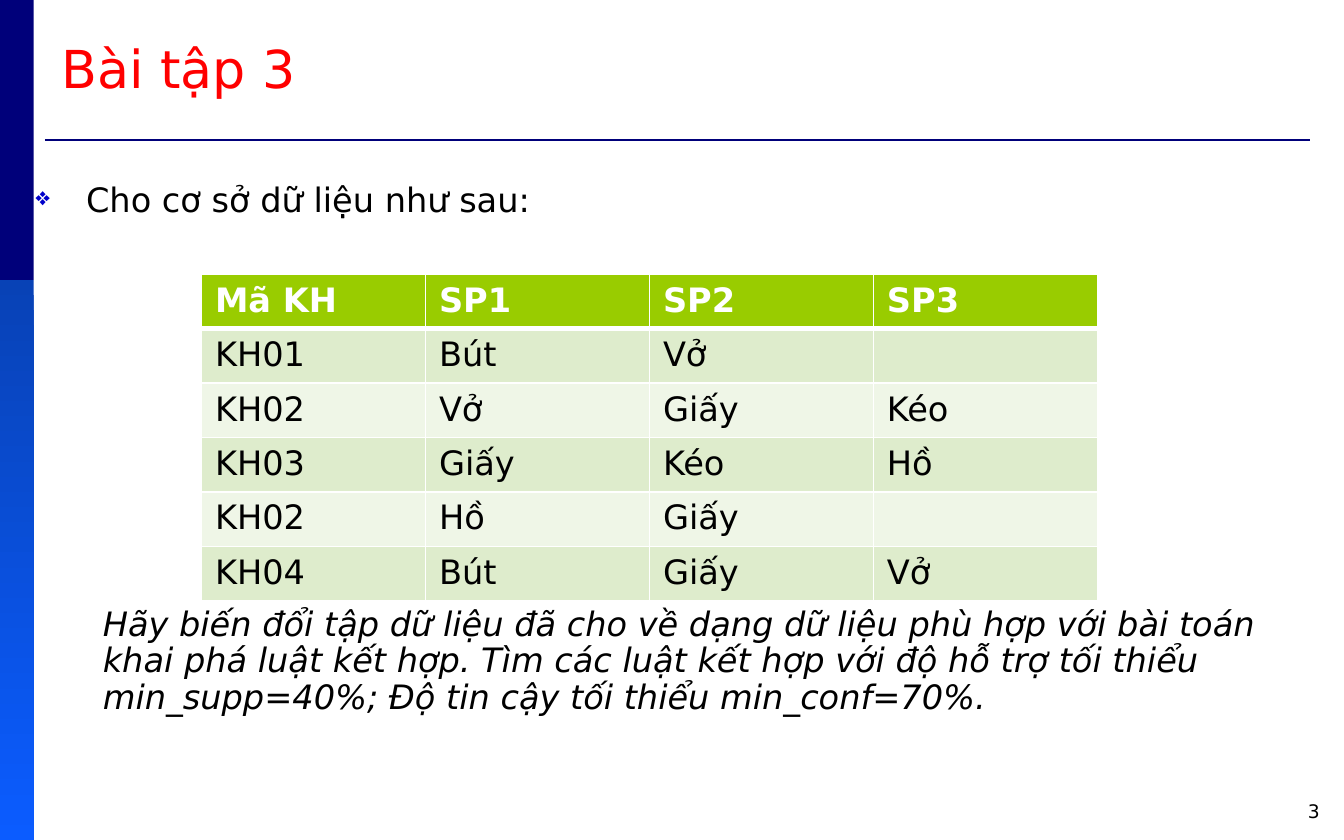
import pptx
import pptx.util
import pptx.dml.color
import pptx.enum.shapes
import pptx.enum.text
import pptx.oxml
import pptx.oxml.ns
import lxml.etree

Pt = pptx.util.Pt
FONT = "DejaVu Sans"
C = {
    "navy": "00007A", "deep": "0842B6", "bright": "0B5CFF", "bullet": "0000CA",
    "title": "FF0000", "text": "000000", "white": "FFFFFF",
    "header": "99CC00", "odd": "DEECCC", "even": "EFF6E7",
}
ROWS = [
    ["Mã KH", "SP1", "SP2", "SP3"],
    ["KH01", "Bút", "Vở", ""],
    ["KH02", "Vở", "Giấy", "Kéo"],
    ["KH03", "Giấy", "Kéo", "Hồ"],
    ["KH02", "Hồ", "Giấy", ""],
    ["KH04", "Bút", "Giấy", "Vở"],
]
TASK = ("Hãy biến đổi tập dữ liệu đã cho về dạng dữ liệu phù hợp với bài toán "
        "khai phá luật kết hợp. Tìm các luật kết hợp với độ hỗ trợ tối thiểu "
        "min_supp=40%; Độ tin cậy tối thiểu min_conf=70%.")


def rgb(name):
    return pptx.dml.color.RGBColor.from_string(C[name])


def add_sub(parent, tag, **attrs):
    return lxml.etree.SubElement(parent, pptx.oxml.ns.qn(tag), attrs)


def style(p, size, color="text", bold=False, italic=False):
    f = p.font
    f.name, f.size, f.bold, f.italic = FONT, Pt(size), bold, italic
    f.color.rgb = rgb(color)


def add_text(s, x, y, w, h, text):
    tf = s.shapes.add_textbox(Pt(x), Pt(y), Pt(w), Pt(h)).text_frame
    tf.word_wrap = True
    p = tf.paragraphs[0]
    p.text = text
    return tf, p


def add_sidebar(s, x, y, w, h):
    split = h / 3
    for top, height in ((y, split), (y + split, h - split)):
        sp = s.shapes.add_shape(pptx.enum.shapes.MSO_SHAPE.RECTANGLE,
                                Pt(x), Pt(top), Pt(w), Pt(height))
        sp.shadow.inherit = False
        sp.line.fill.background()
        if top == y:
            sp.fill.solid()
            sp.fill.fore_color.rgb = rgb("navy")
        else:
            sp.fill.gradient()
            sp.fill.gradient_angle = 270
            for stop, color, pos in zip(sp.fill.gradient_stops, ("deep", "bright"), (0, 1)):
                stop.color.rgb = rgb(color)
                stop.position = pos


def add_title(s, x, y, w, h):
    tf, p = add_text(s, x, y, w, h, "Bài tập 3")
    tf.vertical_anchor = pptx.enum.text.MSO_ANCHOR.BOTTOM
    tf.margin_left, tf.margin_bottom = Pt(15), Pt(2)
    style(p, 28, "title")
    rule_y = Pt(y + 77)
    line = s.shapes.add_connector(pptx.enum.shapes.MSO_CONNECTOR.STRAIGHT,
                                  Pt(x + 6), rule_y, Pt(x + 684), rule_y)
    line.line.color.rgb = rgb("navy")
    line.line.width = Pt(1.5)
    add_sub(line._element.spPr, "a:effectLst")


def add_intro(s, x, y, w, h):
    tf, p = add_text(s, x, y, w, h, "Cho cơ sở dữ liệu như sau:")
    p.line_spacing = 0.9
    pPr = p._p.get_or_add_pPr()
    pPr.set("marL", str(Pt(27)))
    pPr.set("indent", str(Pt(-27)))
    add_sub(add_sub(pPr, "a:buClr"), "a:srgbClr", val=C["bullet"])
    add_sub(pPr, "a:buSzPct", val="75000")
    add_sub(pPr, "a:buChar", char="❖")
    style(p, 18)


def add_task(s, x, y, w, h):
    tf, p = add_text(s, x, y, w, h, TASK)
    p.line_spacing = 0.9
    style(p, 18, italic=True)


def set_borders(cell, bottom, top):
    tcPr = cell._tc.get_or_add_tcPr()
    for i, (side, width) in enumerate((("L", 1), ("R", 1), ("T", top), ("B", bottom))):
        ln = pptx.oxml.parse_xml(
            f'<a:ln{side} {pptx.oxml.ns.nsdecls("a")} w="{Pt(width)}"><a:solidFill>'
            f'<a:srgbClr val="{C["white"]}"/></a:solidFill></a:ln{side}>')
        tcPr.insert(i, ln)


def add_purchases(s, x, y, w, h):
    table = s.shapes.add_table(len(ROWS), len(ROWS[0]), Pt(x), Pt(y), Pt(w), Pt(h)).table
    for i, values in enumerate(ROWS):
        for j, value in enumerate(values):
            cell = table.cell(i, j)
            cell.fill.solid()
            cell.fill.fore_color.rgb = rgb("header" if i == 0 else "odd" if i % 2 else "even")
            set_borders(cell, 3 if i == 0 else 1, 3 if i == 1 else 1)
            p = cell.text_frame.paragraphs[0]
            p.text = value
            style(p, 18, "white" if i == 0 else "text", bold=i == 0)


def add_number(s, x, y, w, h):
    tf, p = add_text(s, x, y, w, h, "3")
    p.alignment = pptx.enum.text.PP_ALIGN.RIGHT
    style(p, 10)


def main():
    prs = pptx.Presentation()
    prs.slide_width, prs.slide_height = Pt(720), Pt(450)
    s = prs.slides.add_slide(prs.slide_layouts[6])
    add_sidebar(s, 0, 0, 18, 450)
    add_title(s, 18, -2, 690, 57)
    add_intro(s, 12, 95, 708, 27)
    add_task(s, 48, 322, 672, 66)
    add_purchases(s, 108, 147, 480, 175)
    add_number(s, 546, 425, 168, 20)
    prs.save("out.pptx")


if __name__ == "__main__":
    main()
